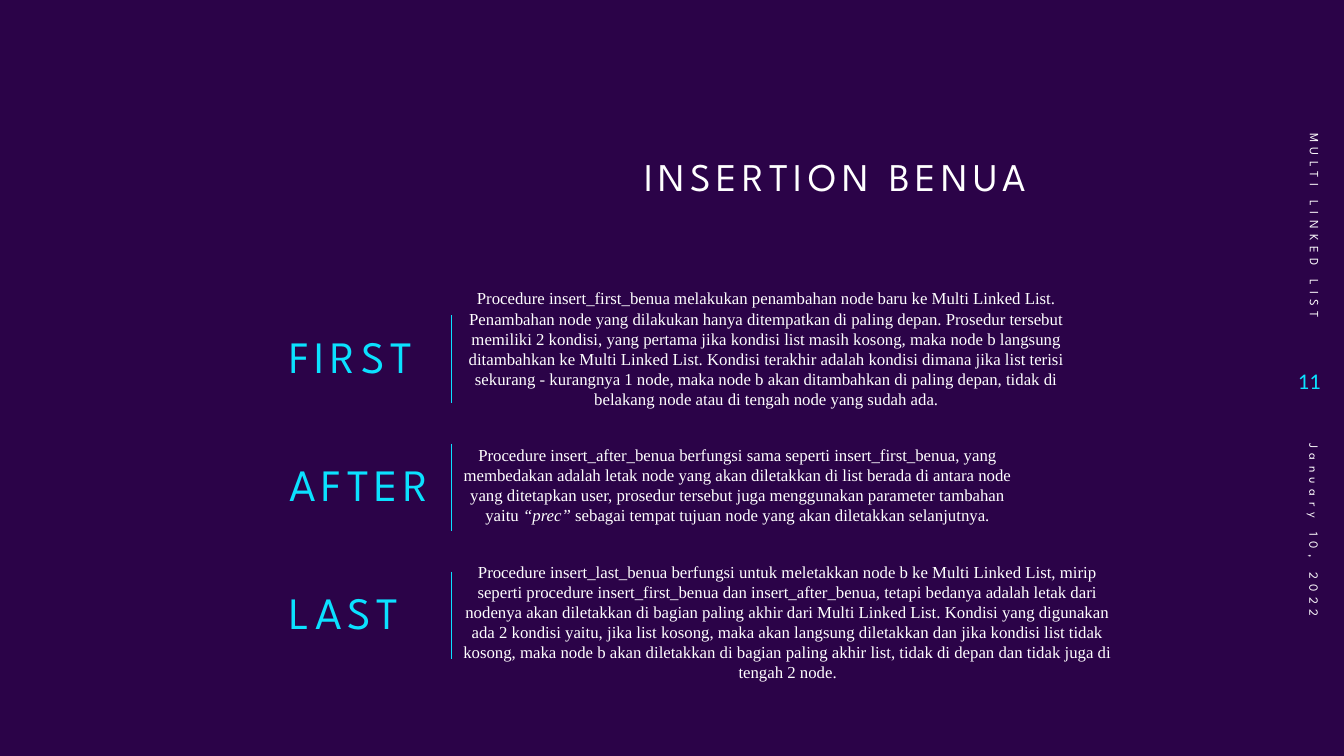
from dataclasses import dataclass
from lxml.etree import SubElement
from pptx import Presentation
from pptx.dml.color import RGBColor
from pptx.enum.shapes import MSO_CONNECTOR
from pptx.enum.text import MSO_ANCHOR, MSO_AUTO_SIZE, PP_ALIGN
from pptx.oxml.ns import qn
from pptx.util import Inches, Pt


@dataclass(frozen=True)
class Style:
    font: str
    size: int
    color: RGBColor
    tracking: int = 0
    line_spacing: float = 1.0


@dataclass(frozen=True)
class Theme:
    night = RGBColor(0x2B, 0x03, 0x48)
    white = RGBColor(0xFF, 0xFF, 0xFF)
    cyan = RGBColor(0x0B, 0xE1, 0xFF)
    rule_width = Pt(0.5)
    title = Style("League Spartan", 28, white, 4, 0.9)
    label = Style("League Spartan", 32, cyan, 4, 0.9)
    body = Style("Times New Roman", 12, white)
    margin = Style("League Spartan", 9, white, 4)
    number = Style("Calibri", 16, cyan)


@dataclass(frozen=True)
class Box:
    left: float
    top: float
    width: float
    height: float

    def inner(self, column, row, columns, rows):
        return Box(self.left + column, self.top + row, columns, rows)

    def emu(self):
        return [grid(n) for n in (self.left, self.top, self.width, self.height)]


@dataclass(frozen=True)
class Procedure:
    name: str
    runs: tuple
    column: float
    row: float
    columns: float
    rows: float
    indent: float = 0


CELL = 0.1
THEME = Theme()
SLIDE = Box(0, 0, 133.33, 75)
ROW_PITCH = 12.7

PROCEDURES = [
    Procedure("FIRST", (
        ("Procedure insert_first_benua melakukan penambahan node baru ke Multi Linked List. "
         "Penambahan node yang dilakukan hanya ditempatkan di paling depan. Prosedur tersebut "
         "memiliki 2 kondisi, yang pertama jika kondisi list masih kosong, maka node b langsung "
         "ditambahkan ke Multi Linked List. Kondisi terakhir adalah kondisi dimana jika list terisi "
         "sekurang - kurangnya 1 node, maka node b akan ditambahkan di paling depan, tidak di "
         "belakang node atau di tengah node yang sudah ada.", False),
    ), 12.5, -1.7, 66.7, 13.1, 5),
    Procedure("AFTER", (
        ("Procedure insert_after_benua berfungsi sama seperti insert_first_benua, yang "
         "membedakan adalah letak node yang akan diletakkan di list berada di antara node "
         "yang ditetapkan user, prosedur tersebut juga menggunakan parameter tambahan yaitu ", False),
        ("“prec” ", True),
        ("sebagai tempat tujuan node yang akan diletakkan selanjutnya.", False),
    ), 17.1, 1.1, 56.8, 9.1),
    Procedure("LAST", (
        ("Procedure insert_last_benua berfungsi untuk meletakkan node b ke Multi Linked List, mirip "
         "seperti procedure insert_first_benua dan insert_after_benua, tetapi bedanya adalah letak dari "
         "nodenya akan diletakkan di bagian paling akhir dari Multi Linked List. Kondisi yang digunakan "
         "ada 2 kondisi yaitu, jika list kosong, maka akan langsung diletakkan dan jika kondisi list tidak "
         "kosong, maka node b akan diletakkan di bagian paling akhir list, tidak di depan dan tidak juga di "
         "tengah 2 node.", False),
    ), 17.1, 0, 66.7, 13.1),
]


def grid(cells):
    return Inches(cells * CELL)


def add_text(slide, box, runs, style, align=PP_ALIGN.LEFT, anchor=MSO_ANCHOR.MIDDLE,
             rotation=0, indent=0, grow=False):
    holder = slide.shapes.add_textbox(*box.emu())
    holder.rotation = rotation
    frame = holder.text_frame
    frame.word_wrap = True
    frame.vertical_anchor = anchor
    frame.auto_size = MSO_AUTO_SIZE.SHAPE_TO_FIT_TEXT if grow else MSO_AUTO_SIZE.NONE
    paragraph = frame.paragraphs[0]
    paragraph.alignment = align
    paragraph.line_spacing = style.line_spacing
    paragraph.font.name = style.font
    paragraph.font.size = Pt(style.size)
    paragraph.font.color.rgb = style.color
    properties = paragraph._p.get_or_add_pPr()
    if indent:
        properties.set("marL", str(grid(indent)))
    if style.tracking:
        properties.get_or_add_defRPr().set("spc", str(style.tracking * 100))
    for words, italic in runs:
        run = paragraph.add_run()
        run.text = words
        if italic:
            run.font.italic = True


def add_rule(slide, box):
    left, top, width, height = box.emu()
    rule = slide.shapes.add_connector(MSO_CONNECTOR.STRAIGHT, left, top, left + width, top + height)
    rule.line.color.rgb = THEME.cyan
    rule.line.width = THEME.rule_width
    SubElement(rule._element.spPr, qn("a:effectLst"))


def add_procedure(slide, box, procedure):
    add_text(slide, box.inner(0, 0, 19.5, box.height), [(procedure.name, False)], THEME.label)
    add_rule(slide, box.inner(17.1, 1.5, 0, 8.65))
    body = box.inner(procedure.column, procedure.row, procedure.columns, procedure.rows)
    add_text(slide, body, procedure.runs, THEME.body, PP_ALIGN.CENTER, MSO_ANCHOR.TOP,
             indent=procedure.indent, grow=True)


def add_margin(slide, box):
    add_text(slide, box.inner(-10.7, 1.9, 30.3, 4), [("MULTI LINKED LIST", False)],
             THEME.margin, PP_ALIGN.RIGHT, rotation=90)
    add_text(slide, box.inner(0, 21.1, 6, 6.3), [("11", False)], THEME.number, PP_ALIGN.RIGHT)
    add_text(slide, box.inner(-10.1, 42, 29, 4), [("January 10, 2022", False)],
             THEME.margin, rotation=90)


def add_insertion_slide(deck, box):
    slide = deck.slides.add_slide(deck.slide_layouts[6])
    slide.background.fill.solid()
    slide.background.fill.fore_color.rgb = THEME.night
    add_text(slide, box.inner(55, 15.1, 55.7, 10), [("INSERTION BENUA", False)],
             THEME.title, PP_ALIGN.CENTER, MSO_ANCHOR.TOP)
    for index, procedure in enumerate(PROCEDURES):
        add_procedure(slide, box.inner(27.7, 29.8 + index * ROW_PITCH, 83.8, 11.7), procedure)
    add_margin(slide, box.inner(126, 13.5, 6, 50))


def main():
    deck = Presentation()
    deck.slide_width = grid(SLIDE.width)
    deck.slide_height = grid(SLIDE.height)
    add_insertion_slide(deck, SLIDE)
    deck.save("out.pptx")


if __name__ == "__main__":
    main()
